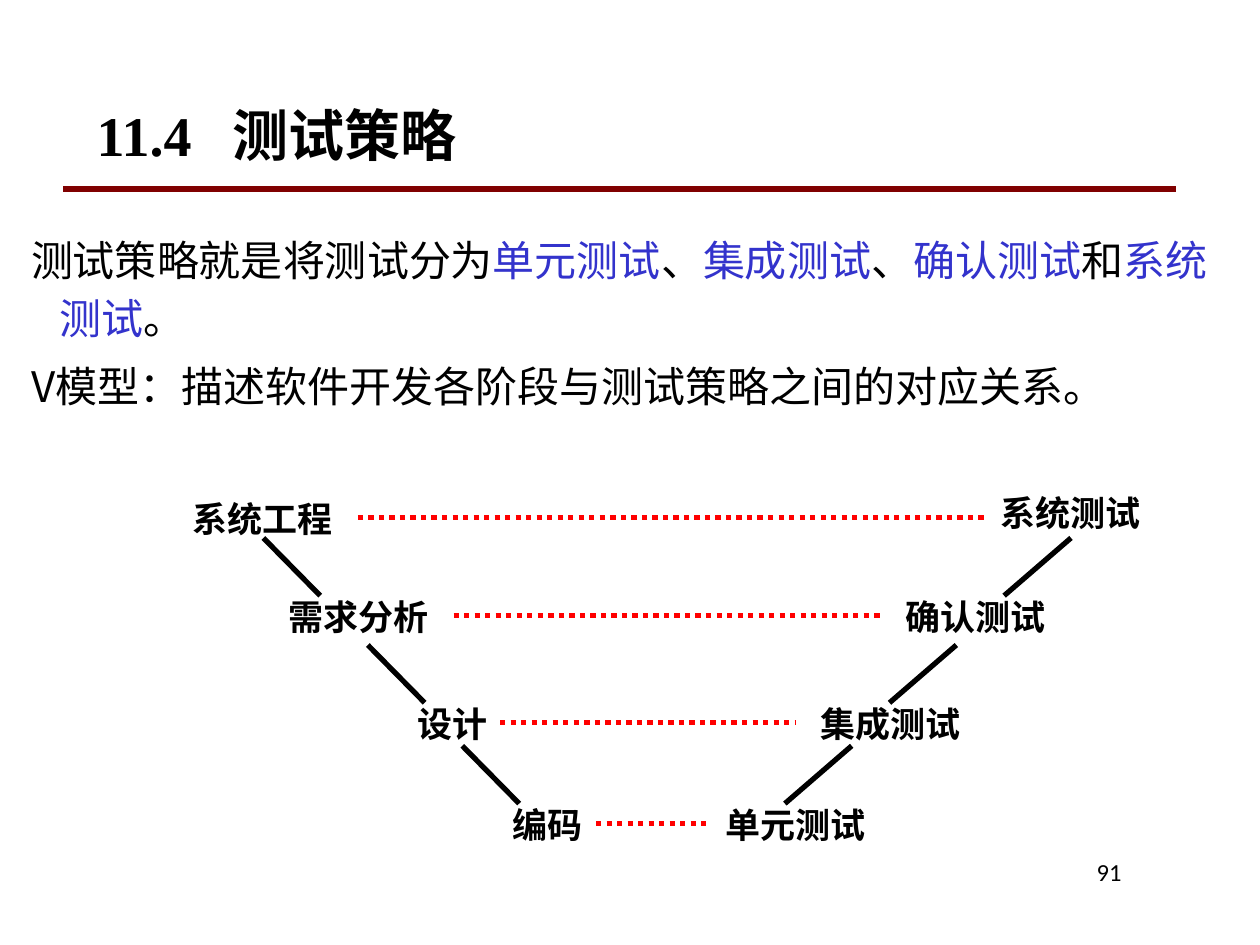
from lxml import etree
from pptx import Presentation
from pptx.dml.color import RGBColor
from pptx.enum import dml, shapes, text
from pptx.oxml.ns import qn
from pptx.util import Pt

BLACK = RGBColor(0x00, 0x00, 0x00)
BLUE = RGBColor(0x33, 0x33, 0xCC)
RED = RGBColor(0xFF, 0x00, 0x00)
MAROON = RGBColor(0x80, 0x00, 0x00)
CJK = "Noto Sans CJK SC"

LABEL_SIZE = (108.7, 32.4)
# Each level of the V: (text, left, top) of the development stage and its test,
# then the ends of the dotted line between them.
LEVELS = [
    (("系统工程", 95.8, 279.4), ("系统测试", 557.3, 275.8), (204.5, 563)),
    (("需求分析", 150.5, 335.5), ("确认测试", 503.3, 335.5), (259.2, 503.3)),
    (("设计", 204.5, 396.7), ("集成测试", 454.3, 396.7), (285.8, 454.3)),
    (("编码", 258.5, 454.3), ("单元测试", 400.3, 454.3), (340.6, 405.4)),
]
# Start of the left and the right stroke below each of the upper levels
STROKES = [(150.5, 612, 307.4), (210.2, 546.5, 368.6), (264.2, 486.7, 426.2)]
LEFT_RUN, RIGHT_RUN, STROKE_DROP = 32.5, -38.2, 33

STRATEGY = [("测试策略就是将测试分为", BLACK), ("单元测试", BLUE), ("、", BLACK),
            ("集成测试", BLUE), ("、", BLACK), ("确认测试", BLUE), ("和", BLACK),
            ("系统测试", BLUE), ("。", BLACK)]
V_MODEL = [("V模型：描述软件开发各阶段与测试策略之间的对应关系。", BLACK)]


def place(shape, left, top, width, height):
    shape.left, shape.top = Pt(left), Pt(top)
    shape.width, shape.height = Pt(width), Pt(height)


def add_span(para, words, size, font=CJK, color=BLACK, bold=False):
    span = para.add_run()
    span.text = words
    span.font.size = Pt(size)
    span.font.bold = bold
    span.font.color.rgb = color
    span.font.name = font
    east_asian = etree.SubElement(span._r.get_or_add_rPr(), qn("a:ea"))
    east_asian.set("typeface", CJK)


def add_label(page, words, left, top, size=20, width=LABEL_SIZE[0],
              height=LABEL_SIZE[1], font=CJK, bold=True, spacing=1.05,
              align=text.PP_ALIGN.CENTER, anchor=text.MSO_ANCHOR.MIDDLE):
    box = page.shapes.add_textbox(Pt(left), Pt(top), Pt(width), Pt(height))
    box.text_frame.word_wrap = True
    box.text_frame.vertical_anchor = anchor
    para = box.text_frame.paragraphs[0]
    para.alignment = align
    para.line_spacing = spacing
    add_span(para, words, size, font=font, bold=bold)
    return box


def add_line(page, start, end, color=BLACK, dash=None):
    line = page.shapes.add_connector(
        shapes.MSO_CONNECTOR.STRAIGHT, *(Pt(n) for n in (*start, *end)))
    line.line.color.rgb = color
    line.line.width = Pt(3)
    if dash:
        line.line.dash_style = dash
    etree.SubElement(line._element.spPr, qn("a:effectLst"))
    return line


def fill_title(title):
    place(title, 48, 48, 591, 57.6)
    title.text_frame.vertical_anchor = text.MSO_ANCHOR.MIDDLE
    title.text_frame.auto_size = text.MSO_AUTO_SIZE.NONE
    para = title.text_frame.paragraphs[0]
    para.alignment = text.PP_ALIGN.LEFT
    tabs = etree.SubElement(para._p.get_or_add_pPr(), qn("a:tabLst"))
    etree.SubElement(tabs, qn("a:tab"), pos=str(Pt(77.5)), algn="l")
    add_span(para, "11.4\t", 32, font="Times New Roman", bold=True)
    add_span(para, "测试策略", 32, font="Calibri", bold=True)


def fill_body(body):
    place(body, 0, 120, 720, 120)
    frame = body.text_frame
    frame.auto_size = text.MSO_AUTO_SIZE.NONE
    frame.margin_top = Pt(9.6)
    for index, spans in enumerate((STRATEGY, V_MODEL)):
        para = frame.add_paragraph() if index else frame.paragraphs[0]
        props = para._p.get_or_add_pPr()
        props.set("marL", str(Pt(27)))
        props.set("indent", str(Pt(-16.5)))
        etree.SubElement(props, qn("a:buNone"))
        para.alignment = text.PP_ALIGN.LEFT
        para.line_spacing = 1.15
        para.space_before = Pt(6 if index else 0)
        for words, color in spans:
            add_span(para, words, 24, color=color)


def draw_v_model(page):
    for stage, test, (start, end) in LEVELS:
        stage_box = add_label(page, *stage)
        test_box = add_label(page, *test)
        middle = stage[2] + LABEL_SIZE[1] / 2
        dots = add_line(page, (start, middle), (end, middle), RED,
                        dml.MSO_LINE.ROUND_DOT)
        if start == round(stage[1] + LABEL_SIZE[0], 1):
            dots.begin_connect(stage_box, 3)
        if end == test[1]:
            dots.end_connect(test_box, 1)
    for left, right, top in STROKES:
        for x, run in ((left, LEFT_RUN), (right, RIGHT_RUN)):
            add_line(page, (x, top), (x + run, top + STROKE_DROP))


def main():
    deck = Presentation()
    deck.slide_width, deck.slide_height = Pt(720), Pt(540)
    page = deck.slides.add_slide(deck.slide_layouts[1])
    add_line(page, (36, 108), (672, 108), MAROON)
    fill_title(page.shapes.title)
    fill_body(page.placeholders[1])
    draw_v_model(page)
    add_label(page, "91", 546, 486, size=14, width=102, height=36,
              font="Calibri", bold=False, spacing=1,
              align=text.PP_ALIGN.RIGHT, anchor=text.MSO_ANCHOR.TOP)
    deck.save("out.pptx")


if __name__ == "__main__":
    main()
